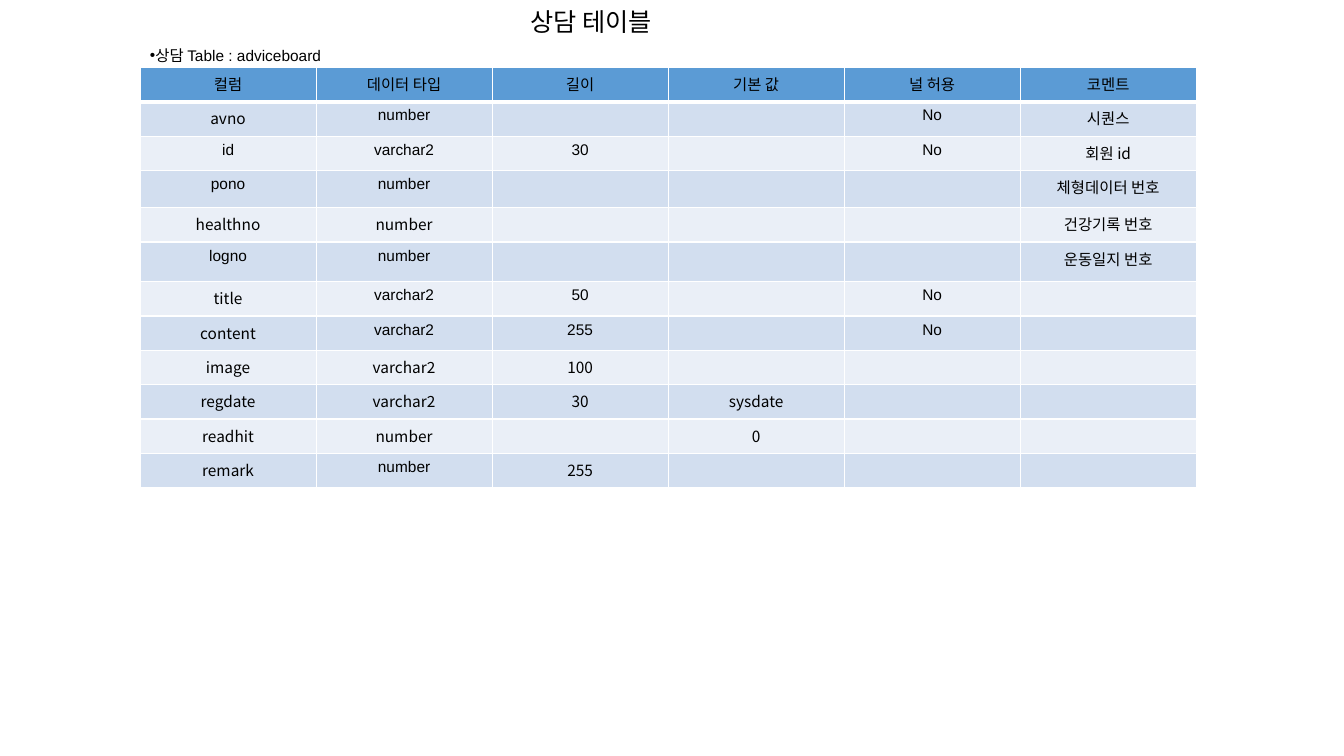
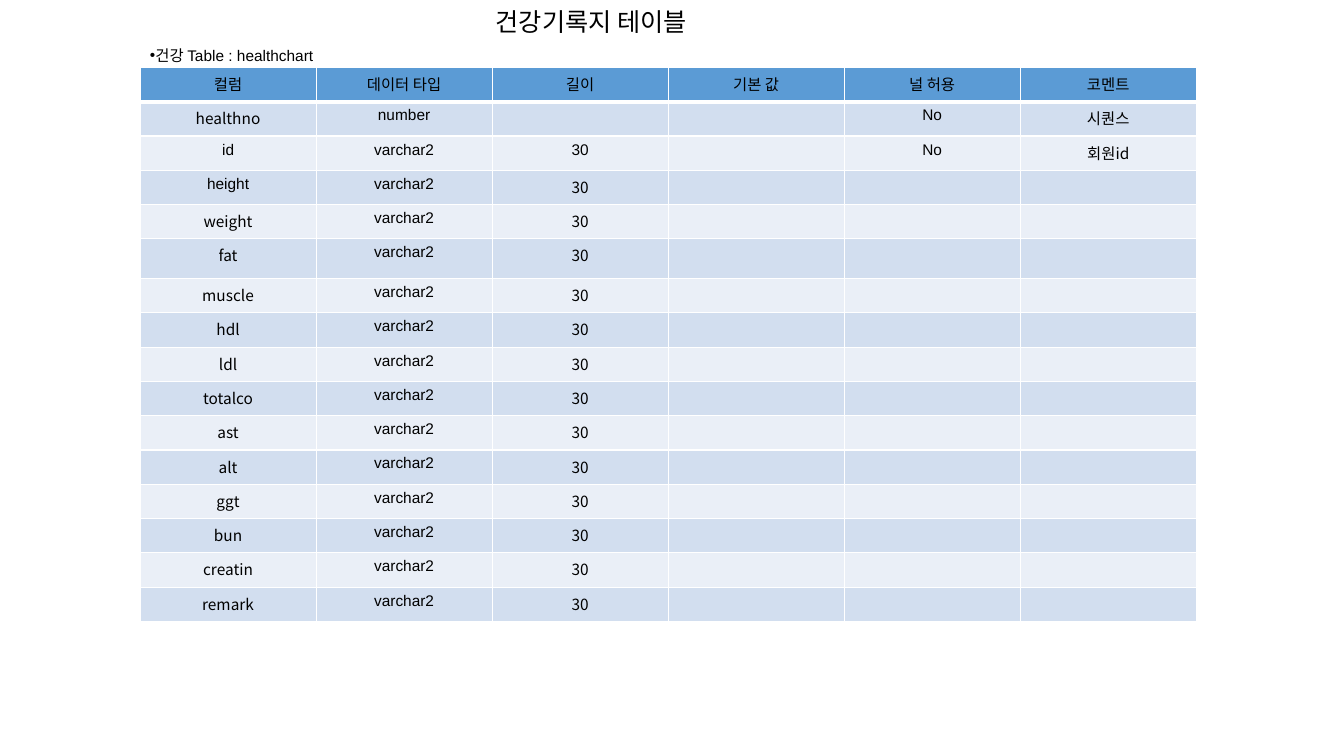
from lxml.etree import SubElement
from pptx import Presentation
from pptx.dml.color import RGBColor
from pptx.enum.text import MSO_ANCHOR, MSO_AUTO_SIZE, PP_ALIGN
from pptx.oxml.ns import qn
from pptx.util import Cm, Pt

SANS, HAN = "Arial", "Noto Sans CJK KR"
BLACK, WHITE, BLUE = "000000", "FFFFFF", "5B9BD5"
BANDS = ["D2DEEF", "EAEFF7"]
HEAD = "컬럼|데이터 타입|길이|기본 값|널 허용|코멘트"

# A leading * sets a cell in the Korean face.
ADVICE = [
    "*avno|number|||No|시퀀스",
    "id|varchar2|30||No|*회원 id",
    "pono|number||||*체형데이터 번호",
    "*healthno|*number||||*건강기록 번호",
    "logno|number||||*운동일지 번호",
    "*title|varchar2|50||No|",
    "*content|varchar2|255||No|",
    "*image|*varchar2|*100|||",
    "*regdate|*varchar2|*30|*sysdate||",
    "*readhit|*number||*0||",
    "*remark|number|*255|||",
]
TESTS = "weight fat muscle hdl ldl totalco ast alt ggt bun creatin remark"
HEALTH = [
    "*healthno|number|||No|시퀀스",
    "id|varchar2|30||No|*회원id",
    "height|varchar2|*30|||",
] + [f"*{name}|varchar2|*30|||" for name in TESTS.split()]


def color(code):
    return RGBColor.from_string(code)


def write(frame, text, size=11, font=SANS, align=PP_ALIGN.CENTER):
    para = frame.paragraphs[0]
    para.alignment = align
    para.space_before = Pt(0)
    if not text:
        SubElement(para._p, qn("a:endParaRPr"), sz=str(size * 100))
        return para
    run = para.add_run()
    run.text = text
    run.font.size = Pt(size)
    run.font.name = font
    run.font.bold = False
    run.font.color.rgb = color(BLACK)
    SubElement(run._r.get_or_add_rPr(), qn("a:ea"), typeface=HAN)
    return para


def place(shape, box, anchor, inset):
    shape.left, shape.top, shape.width, shape.height = map(Cm, box)
    frame = shape.text_frame
    frame.word_wrap = True
    frame.auto_size = MSO_AUTO_SIZE.NONE
    frame.vertical_anchor = anchor
    frame.margin_left = frame.margin_right = Cm(0.25)
    frame.margin_top = frame.margin_bottom = Cm(inset)
    return frame


def title(slide, text, box):
    frame = place(slide.shapes.title, box, MSO_ANCHOR.TOP, 0.05)
    write(frame, text, size=18)


def label(slide, text, box):
    frame = place(slide.placeholders[1], box, MSO_ANCHOR.MIDDLE, 0)
    props = write(frame, text, align=PP_ALIGN.LEFT)._p.get_or_add_pPr()
    props.set("marL", "0")
    props.set("indent", "0")
    SubElement(props, qn("a:buFont"), typeface=SANS)
    SubElement(props, qn("a:buChar"), char="•")


def edge(cell, side, width):
    line = SubElement(cell._tc.get_or_add_tcPr(), qn("a:ln" + side), w=str(Pt(width)))
    fill = SubElement(line, qn("a:solidFill"))
    SubElement(fill, qn("a:srgbClr"), val=WHITE)


def grid(slide, rows, tall, box):
    left, top, width, height = box
    lines = [line.split("|") for line in [HEAD] + rows]
    count = len(lines[0])
    table = slide.shapes.add_table(len(lines), count, *map(Cm, box)).table
    step = (height - sum(tall.values())) / (len(lines) - len(tall))
    for col in table.columns:
        col.width = Cm(width / count)
    for i, line in enumerate(lines):
        table.rows[i].height = Cm(tall.get(i, step))
        for j, text in enumerate(line):
            cell = table.cell(i, j)
            thick = {0: "B", 1: "T"}.get(i)
            for side in "LRTB":
                edge(cell, side, 3 if side == thick else 1)
            cell.fill.solid()
            cell.fill.fore_color.rgb = color(BANDS[(i - 1) % 2] if i else BLUE)
            font = HAN if text.startswith("*") else SANS
            write(cell.text_frame, text.lstrip("*"), font=font)


def page(deck, head, name, rows, tall, height):
    slide = deck.slides.add_slide(deck.slide_layouts[1])
    label(slide, name, (3.53, 0.64, 19.35, 1.5))
    title(slide, head, (6.43, 0.1, 16.94, 2.57))
    grid(slide, rows, tall, (3.53, 1.7, 26.62, height))


deck = Presentation()
deck.slide_width, deck.slide_height = Cm(33.87), Cm(19.05)
page(deck, "상담 테이블", "상담\u00a0Table : adviceboard", ADVICE, {3: 0.94, 5: 1}, 10.59)
page(deck, "건강기록지 테이블", "건강\u00a0Table : healthchart", HEALTH, {5: 1}, 13.97)
deck.save("out.pptx")
